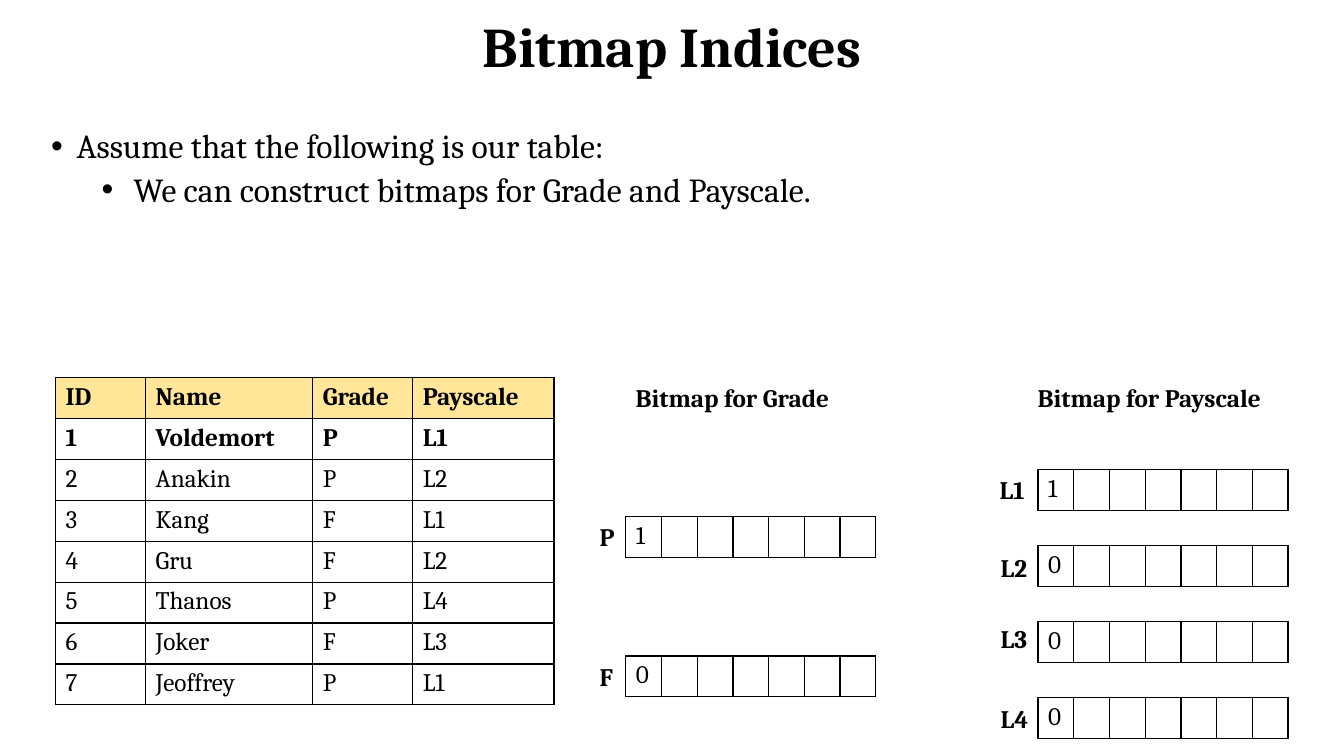
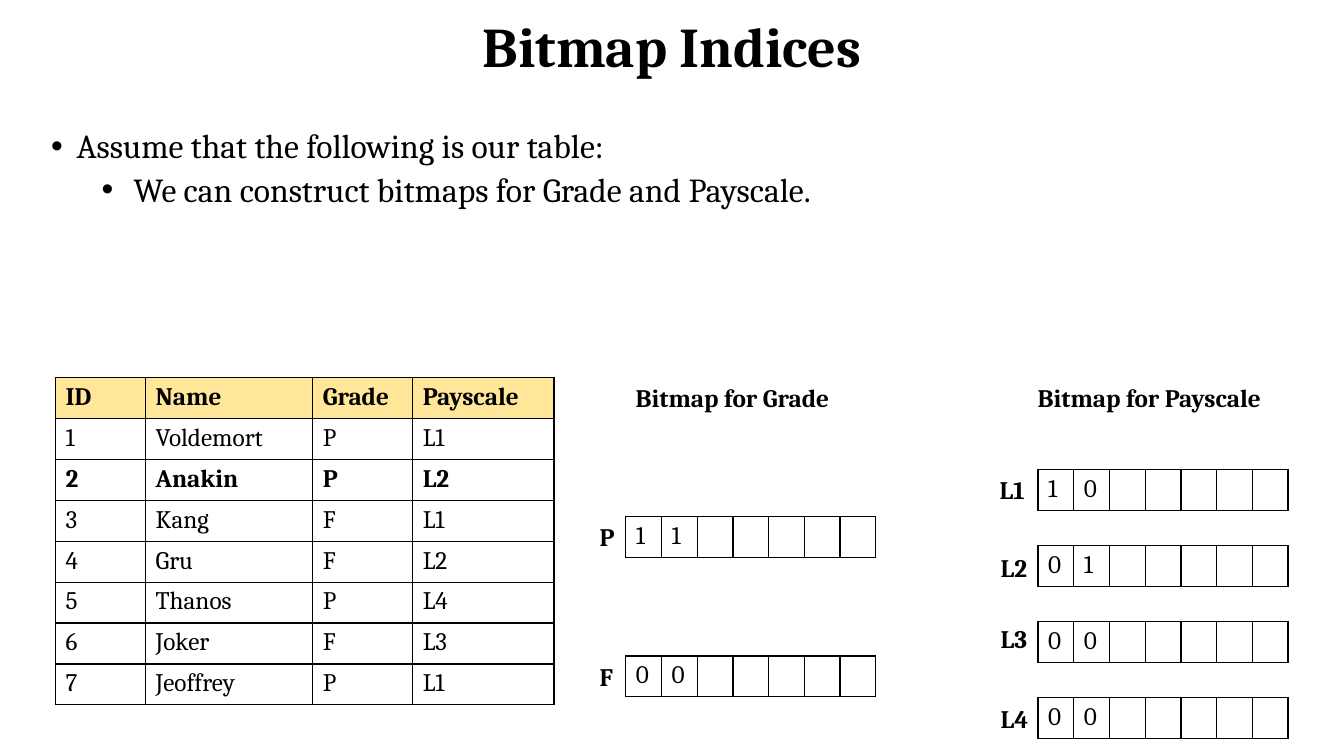
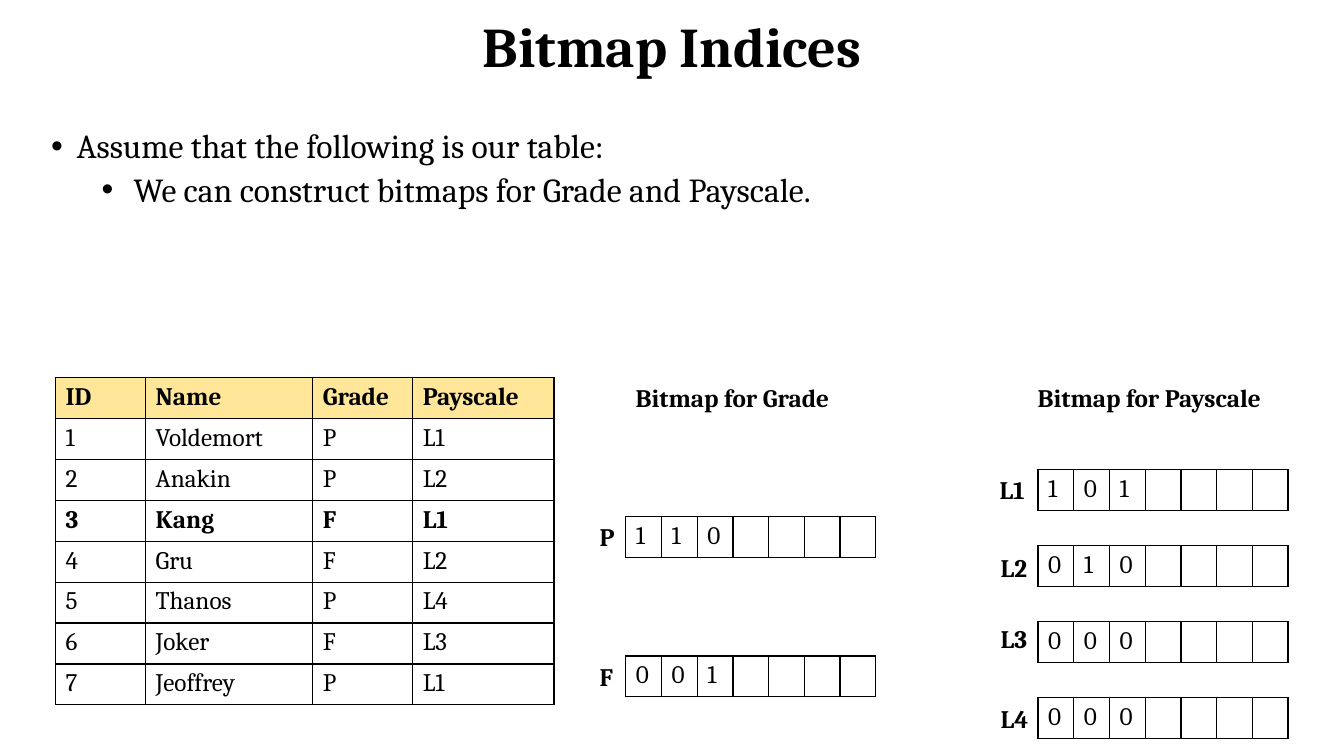
"""Build three slides that fill bitmap indices one record at a time."""

import dataclasses
import typing

import lxml.etree
import pptx
import pptx.dml.color
import pptx.enum.text
import pptx.oxml.ns
import pptx.slide
import pptx.table
import pptx.text.text
import pptx.util
from pptx.util import Cm

BLACK = pptx.dml.color.RGBColor(0x00, 0x00, 0x00)
WHITE = pptx.dml.color.RGBColor(0xFF, 0xFF, 0xFF)
HEADER_YELLOW = pptx.dml.color.RGBColor(0xFF, 0xE6, 0x99)
FONT = "Cambria"
TITLE_SIZE, BODY_SIZE, LABEL_SIZE = 40, 24, 18
BORDER_WIDTH = pptx.util.Pt(1)
ROW_HEIGHT = Cm(1.03)
BIT_WIDTH = Cm(0.9)
LABEL_HEIGHT = Cm(1.02)
HEADING_TOP = Cm(9.52)
RECORD_COLUMNS = [Cm(2.27), Cm(4.21), Cm(2.52), Cm(3.56)]
ALIGN = pptx.enum.text.PP_ALIGN


class Record(typing.NamedTuple):
    """One row of the employee table."""

    identifier: str
    name: str
    grade: str
    payscale: str


@dataclasses.dataclass(frozen=True)
class Label:
    """The value that a bitmap stands for, with the place of its label."""

    value: str
    left: float
    top: float
    width: float


@dataclasses.dataclass(frozen=True)
class Bullet:
    """A bulleted line with its indents in centimetres."""

    text: str
    level: int
    margin: float
    hanging: float
    space_before: int


@dataclasses.dataclass(frozen=True)
class BitmapGroup:
    """The bitmaps of one column, stacked at an equal step."""

    field: str
    heading: str
    heading_left: float
    heading_width: float
    left: float
    top: float
    step: float
    labels: tuple[Label, ...]


HEADER = Record("ID", "Name", "Grade", "Payscale")
RECORDS = [
    Record("1", "Voldemort", "P", "L1"),
    Record("2", "Anakin", "P", "L2"),
    Record("3", "Kang", "F", "L1"),
    Record("4", "Gru", "F", "L2"),
    Record("5", "Thanos", "P", "L4"),
    Record("6", "Joker", "F", "L3"),
    Record("7", "Jeoffrey", "P", "L1"),
]
BULLETS = [
    Bullet("Assume that the following is our table:", 0, 0.64, 0.64, 10),
    Bullet("We can construct bitmaps for Grade and Payscale.", 1, 2.08, 0.81, 5),
]
GROUPS = [
    BitmapGroup(
        "grade", "Bitmap for Grade", 15.77, 5.64, 15.77, 13.02, 3.51,
        (Label("P", 14.86, 13.0, 0.91), Label("F", 14.86, 16.54, 0.86)),
    ),
    BitmapGroup(
        "payscale", "Bitmap for Payscale", 25.9, 6.32, 26.16, 11.84, 1.91,
        (
            Label("L1", 24.94, 11.84, 1.22),
            Label("L2", 24.97, 13.79, 1.22),
            Label("L3", 24.97, 15.57, 1.22),
            Label("L4", 24.97, 17.6, 1.22),
        ),
    ),
]


def style_paragraph(paragraph: pptx.text.text._Paragraph, size: int, bold: bool = False) -> None:
    """Give a paragraph the shared font."""
    font = paragraph.font
    font.name = FONT
    font.size = pptx.util.Pt(size)
    font.bold = bold
    font.color.rgb = BLACK


def add_title(page: pptx.slide.Slide, text: str) -> None:
    """Add the centred slide title."""
    frame = page.shapes.add_textbox(Cm(2.33), Cm(0), Cm(29.21), Cm(2.51)).text_frame
    frame.word_wrap = True
    frame.vertical_anchor = pptx.enum.text.MSO_ANCHOR.MIDDLE
    paragraph = frame.paragraphs[0]
    paragraph.text = text
    paragraph.alignment = ALIGN.CENTER
    paragraph.line_spacing = 0.9
    style_paragraph(paragraph, TITLE_SIZE, bold=True)


def add_bullets(page: pptx.slide.Slide, bullets: list[Bullet]) -> None:
    """Add the bulleted text under the title."""
    frame = page.shapes.add_textbox(Cm(1.04), Cm(3.15), Cm(31.75), Cm(4.01)).text_frame
    frame.word_wrap = True
    for index, bullet in enumerate(bullets):
        paragraph = frame.add_paragraph() if index else frame.paragraphs[0]
        paragraph.text = bullet.text
        paragraph.level = bullet.level
        paragraph.alignment = ALIGN.JUSTIFY
        paragraph.line_spacing = 0.9
        paragraph.space_before = pptx.util.Pt(bullet.space_before)
        properties = paragraph._p.get_or_add_pPr()
        properties.set("marL", str(Cm(bullet.margin)))
        properties.set("indent", str(-Cm(bullet.hanging)))
        for tag, name, value in (("a:buFont", "typeface", "Arial"), ("a:buChar", "char", "•")):
            mark = lxml.etree.SubElement(properties, pptx.oxml.ns.qn(tag))
            mark.set(name, value)
        style_paragraph(paragraph, BODY_SIZE)


def add_label(page: pptx.slide.Slide, text: str, left: int, top: int, width: int) -> None:
    """Add a bold label on one line."""
    frame = page.shapes.add_textbox(left, top, width, LABEL_HEIGHT).text_frame
    frame.word_wrap = False
    frame.auto_size = pptx.enum.text.MSO_AUTO_SIZE.SHAPE_TO_FIT_TEXT
    paragraph = frame.paragraphs[0]
    paragraph.text = text
    style_paragraph(paragraph, LABEL_SIZE, bold=True)


def fill_cell(
    cell: pptx.table._Cell, text: str, bold: bool, color: pptx.dml.color.RGBColor
) -> None:
    """Write a cell and draw its borders and fill."""
    properties = cell._tc.get_or_add_tcPr()
    for side in ("lnL", "lnR", "lnT", "lnB"):
        line = lxml.etree.SubElement(properties, pptx.oxml.ns.qn(f"a:{side}"))
        line.set("w", str(BORDER_WIDTH))
        solid = lxml.etree.SubElement(line, pptx.oxml.ns.qn("a:solidFill"))
        lxml.etree.SubElement(solid, pptx.oxml.ns.qn("a:srgbClr")).set("val", str(BLACK))
    cell.fill.solid()
    cell.fill.fore_color.rgb = color
    paragraph = cell.text_frame.paragraphs[0]
    paragraph.text = text
    style_paragraph(paragraph, LABEL_SIZE, bold)


def add_grid(
    page: pptx.slide.Slide,
    left: int,
    top: int,
    widths: list[int],
    rows: list[typing.Sequence[str]],
    bold_rows: tuple[int, ...] = (),
    header: bool = False,
) -> None:
    """Add a bordered table with rows of equal height."""
    table = page.shapes.add_table(
        len(rows), len(widths), left, top, sum(widths), ROW_HEIGHT * len(rows)
    ).table
    table.first_row = header
    table.horz_banding = False
    for column, width in zip(table.columns, widths):
        column.width = width
    for row_index, texts in enumerate(rows):
        color = HEADER_YELLOW if header and row_index == 0 else WHITE
        for column_index, text in enumerate(texts):
            fill_cell(table.cell(row_index, column_index), text, row_index in bold_rows, color)


def add_bitmaps(page: pptx.slide.Slide, group: BitmapGroup, scanned: int) -> None:
    """Add a heading and the bitmaps, filled for the records scanned so far."""
    add_label(page, group.heading, Cm(group.heading_left), HEADING_TOP, Cm(group.heading_width))
    for index, label in enumerate(group.labels):
        bits = [str(int(getattr(record, group.field) == label.value)) for record in RECORDS[:scanned]]
        bits += [""] * (len(RECORDS) - scanned)
        top = Cm(group.top + index * group.step)
        add_grid(page, Cm(group.left), top, [BIT_WIDTH] * len(bits), [bits])
        add_label(page, label.value, Cm(label.left), Cm(label.top), Cm(label.width))


def add_page(deck: pptx.presentation.Presentation, scanned: int) -> None:
    """Add the slide on which the given number of records is scanned."""
    page = deck.slides.add_slide(deck.slide_layouts[6])
    add_title(page, "Bitmap Indices")
    add_bullets(page, BULLETS)
    add_grid(
        page, Cm(1.4), HEADING_TOP, RECORD_COLUMNS, [HEADER, *RECORDS],
        bold_rows=(0, scanned), header=True,
    )
    for group in GROUPS:
        add_bitmaps(page, group, scanned)


def main() -> None:
    """Build and save the deck."""
    deck = pptx.Presentation()
    deck.slide_width, deck.slide_height = Cm(33.87), Cm(19.05)
    for scanned in (1, 2, 3):
        add_page(deck, scanned)
    deck.save("out.pptx")


if __name__ == "__main__":
    main()
